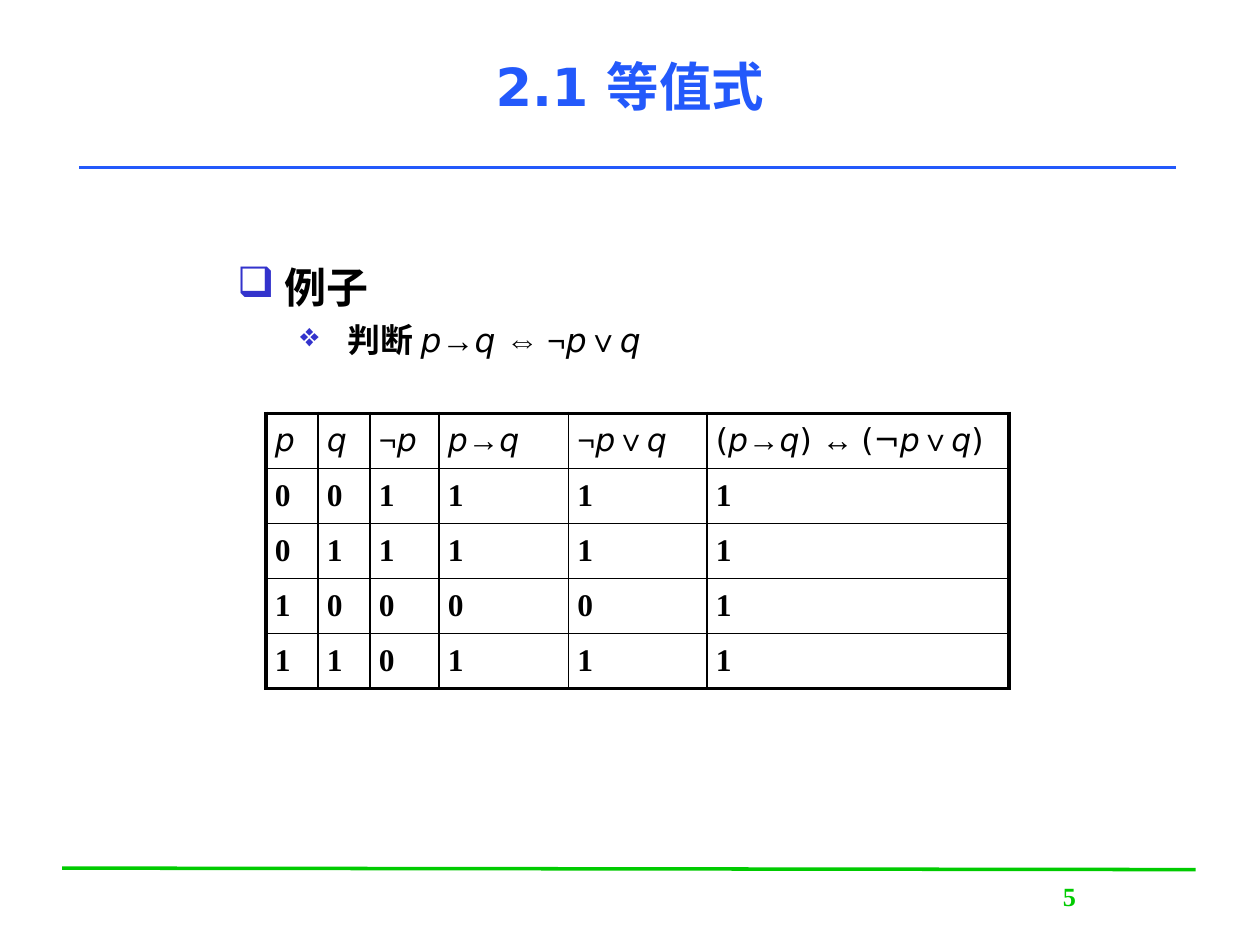
import lxml.etree
import pptx
import pptx.dml.color
import pptx.enum.shapes
import pptx.enum.text
import pptx.oxml.ns
import pptx.util

Cm, Pt = pptx.util.Cm, pptx.util.Pt
RGB = pptx.dml.color.RGBColor.from_string
ALIGN = pptx.enum.text.PP_ALIGN
ANCHOR = pptx.enum.text.MSO_ANCHOR
qn = pptx.oxml.ns.qn

THEME = {
    "blue": "2359FB", "green": "00CB00", "bullet": "3333CC", "ink": "000000",
    "title": 30, "heading": 24, "formula": 18.8, "cell": 18, "number": 15,
    "rule": 2, "outer": 2.25, "inner": 1,
}
STYLES = {
    "title": {"name": "DejaVu Sans", "bold": True, "italic": False},
    "serif": {"name": "Times New Roman", "bold": True, "italic": False},
    "variable": {"name": "DejaVu Sans", "bold": False, "italic": True},
    "plain": {"name": "DejaVu Sans", "bold": False, "italic": False},
}

P, Q = ("p", "variable"), ("q", "variable")
NOT, ARROW, OR = ("¬", "serif"), ("→", "serif"), ("∨", "serif")
IMPLICATION = [P, ARROW, Q]
DISJUNCTION = [NOT, P, OR, Q]

TITLE = [("2.1 等值式", "title")]
PAGE_NUMBER = [("5", "serif")]
BULLETS = [
    {"runs": [("例子", "serif")], "size": THEME["heading"], "mark": "❑",
     "left": 0.95, "hanging": 0.95, "before": 0},
    {"runs": [("判断 ", "serif"), P, ARROW, ("q ", "variable"), ("⇔ ", "serif")] + DISJUNCTION,
     "size": THEME["formula"], "mark": "❖", "left": 2.22, "hanging": 0.95, "before": 4},
]
HEADERS = [
    [P], [Q], [NOT, P], IMPLICATION, DISJUNCTION,
    [("(", "plain"), *IMPLICATION, (") ", "plain"), ("↔ ", "serif"), ("(¬", "plain"),
     P, OR, Q, (")", "plain")],
]
TRUTH_VALUES = ["001111", "011111", "100001", "110111"]
COLUMN_WIDTHS = [1.05, 1.05, 1.39, 2.61, 2.79, 6.09]
ROW_HEIGHT = 1.11
RULES = [
    ((1.25, 17.5), (24.1, 17.53), "green"),
    ((1.6, 3.38), (23.7, 3.38), "blue"),
]
INSETS = {"margin_left": Cm(0.18), "margin_right": Cm(0.18),
          "margin_top": Cm(0.1), "margin_bottom": Cm(0.1)}


def apply(target, values):
    """Set each named attribute on the target."""
    for name, value in values.items():
        setattr(target, name, value)


def write(paragraph, runs, size, color="ink"):
    """Write styled runs into a paragraph."""
    for text, style in runs:
        run = paragraph.add_run()
        run.text = text
        apply(run.font, {**STYLES[style], "size": Pt(size)})
        run.font.color.rgb = RGB(THEME[color])


def add_text_box(slide, place, anchor):
    """Add a wrapping text box and return its frame."""
    frame = slide.shapes.add_textbox(*map(Cm, place)).text_frame
    apply(frame, {**INSETS, "word_wrap": True, "vertical_anchor": anchor})
    return frame


def add_line_text(slide, place, anchor, runs, size, color):
    """Add a centred single line of text."""
    paragraph = add_text_box(slide, place, anchor).paragraphs[0]
    paragraph.alignment = ALIGN.CENTER
    write(paragraph, runs, THEME[size], color)


def add_rule(slide, start, end, color):
    """Add a flat horizontal rule."""
    connector = slide.shapes.add_connector(
        pptx.enum.shapes.MSO_CONNECTOR.STRAIGHT, *map(Cm, start + end))
    connector.line.color.rgb = RGB(THEME[color])
    connector.line.width = Pt(THEME["rule"])
    lxml.etree.SubElement(connector._element.spPr, qn("a:effectLst"))


def add_bullets(slide):
    """Add the example heading and its formula."""
    frame = add_text_box(slide, (4.6, 5.18, 16.2, 10.2), ANCHOR.TOP)
    for index, item in enumerate(BULLETS):
        paragraph = frame.add_paragraph() if index else frame.paragraphs[0]
        properties = paragraph._p.get_or_add_pPr()
        properties.set("marL", str(Cm(item["left"])))
        properties.set("indent", str(-Cm(item["hanging"])))
        color = lxml.etree.SubElement(properties, qn("a:buClr"))
        lxml.etree.SubElement(color, qn("a:srgbClr"), val=THEME["bullet"])
        lxml.etree.SubElement(properties, qn("a:buChar"), char=item["mark"])
        if item["before"]:
            paragraph.space_before = Pt(item["before"])
        write(paragraph, item["runs"], item["size"])


def set_borders(cell, outer_sides):
    """Draw the four cell borders, heavier on outer sides."""
    properties = cell._tc.get_or_add_tcPr()
    for side in "LRTB":
        width = THEME["outer" if side in outer_sides else "inner"]
        line = lxml.etree.SubElement(properties, qn("a:ln" + side), w=str(Pt(width)))
        fill = lxml.etree.SubElement(line, qn("a:solidFill"))
        lxml.etree.SubElement(fill, qn("a:srgbClr"), val=THEME["ink"])


def add_truth_table(slide):
    """Add the truth table."""
    rows = [HEADERS] + [[[(digit, "serif")] for digit in row] for row in TRUTH_VALUES]
    last_row, last_column = len(rows) - 1, len(COLUMN_WIDTHS) - 1
    place = (5.36, 8.33, sum(COLUMN_WIDTHS), ROW_HEIGHT * len(rows))
    table = slide.shapes.add_table(len(rows), len(COLUMN_WIDTHS), *map(Cm, place)).table
    apply(table, {"first_row": False, "horz_banding": False})
    for column, width in zip(table.columns, COLUMN_WIDTHS):
        column.width = Cm(width)
    for r, row in enumerate(rows):
        table.rows[r].height = Cm(ROW_HEIGHT)
        for c, runs in enumerate(row):
            cell = table.cell(r, c)
            apply(cell, {**INSETS, "vertical_anchor": ANCHOR.MIDDLE})
            edges = {"L": c == 0, "R": c == last_column, "T": r == 0, "B": r == last_row}
            set_borders(cell, [side for side, outer in edges.items() if outer])
            cell.fill.background()
            write(cell.text_frame.paragraphs[0], runs, THEME["cell"])


def main():
    """Build the slide on logical equivalence."""
    presentation = pptx.Presentation()
    apply(presentation, {"slide_width": Cm(25.4), "slide_height": Cm(19.05)})
    slide = presentation.slides.add_slide(presentation.slide_layouts[6])
    for rule in RULES:
        add_rule(slide, *rule)
    add_line_text(slide, (19.55, 17.65, 4.02, 1.27), ANCHOR.TOP, PAGE_NUMBER, "number", "green")
    add_line_text(slide, (1.9, 0.13, 21.6, 3.18), ANCHOR.MIDDLE, TITLE, "title", "blue")
    add_truth_table(slide)
    add_bullets(slide)
    presentation.save("out.pptx")


if __name__ == "__main__":
    main()
